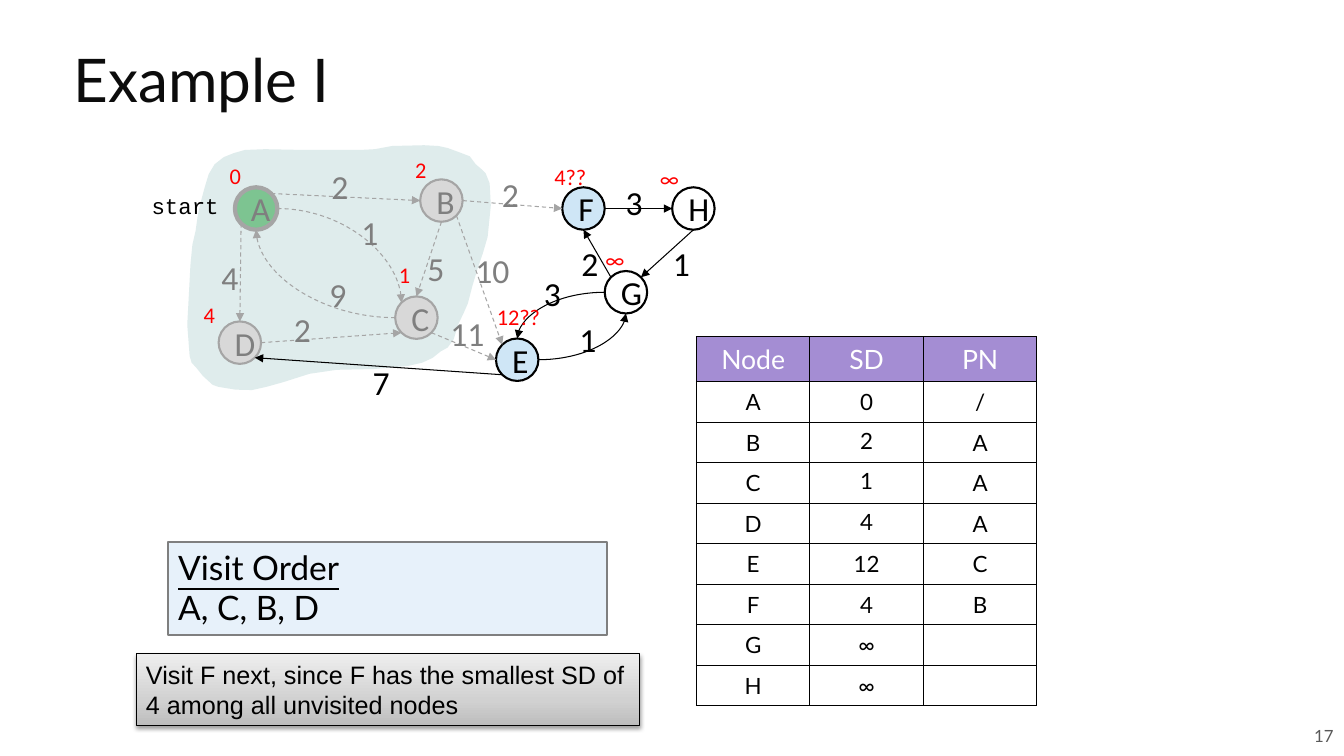
import copy
import math
from dataclasses import dataclass
from typing import Optional

import pptx
import pptx.dml.color
import pptx.enum.dml
import pptx.enum.shapes
import pptx.enum.text
import pptx.oxml.ns
import pptx.util
from lxml import etree

Cm = pptx.util.Cm
Pt = pptx.util.Pt
qn = pptx.oxml.ns.qn
ALIGN = pptx.enum.text.PP_ALIGN
ANCHOR = pptx.enum.text.MSO_ANCHOR
SHAPE = pptx.enum.shapes.MSO_SHAPE
CONNECTOR = pptx.enum.shapes.MSO_CONNECTOR

BLACK, GREY, LINE_GREY, RED = "000000", "7F7F7F", "A5A5A5", "FF0000"
DIAMETER = 1.07
TOP, TOP_LEFT, LEFT, BOTTOM_LEFT, BOTTOM, BOTTOM_RIGHT, RIGHT, TOP_RIGHT = range(8)


@dataclass
class Node:
    name: str
    x: float
    y: float
    fill: Optional[str]
    visited: bool
    distance: str
    distance_x: float
    distance_y: float
    line_width: float = 1.5


@dataclass
class Edge:
    start: str
    start_site: int
    end: str
    end_site: int
    weight: str
    weight_x: float
    weight_y: float
    dashed: bool = False
    curved: bool = False


NODES = [
    Node("A", 5.92, 4.72, "7DC491", True, "0", 5.54, 3.96, 3),
    Node("B", 10.59, 4.52, "D8D8D8", True, "2", 10.21, 3.81),
    Node("D", 5.51, 8.1, "D8D8D8", True, "4", 4.88, 7.47),
    Node("C", 9.96, 7.47, "D8D8D8", True, "1", 9.8, 6.45),
    Node("F", 14.17, 4.72, "CFE6F6", False, "4??", 13.72, 3.99),
    Node("H", 16.94, 4.72, None, False, "∞", 16.38, 4.04),
    Node("E", 12.5, 8.53, "CFE6F6", False, "12??", 12.27, 7.52),
    Node("G", 15.24, 6.83, None, False, "∞", 15.01, 6.07),
]
EDGES = [
    Edge("A", RIGHT, "C", TOP_LEFT, "1", 8.86, 5.21, True, True),
    Edge("C", LEFT, "A", BOTTOM, "9", 8.05, 6.78, True, True),
    Edge("G", LEFT, "E", TOP, "3", 13.46, 6.76, curved=True),
    Edge("E", RIGHT, "G", BOTTOM, "1", 14.35, 7.9, curved=True),
    Edge("A", BOTTOM_LEFT, "D", TOP, "4", 5.33, 6.35, True),
    Edge("D", RIGHT, "C", BOTTOM_LEFT, "2", 7.16, 7.67, True),
    Edge("A", TOP_RIGHT, "B", LEFT, "2", 8.1, 4.06, True),
    Edge("B", RIGHT, "F", LEFT, "2", 12.4, 4.27, True),
    Edge("F", RIGHT, "H", LEFT, "3", 15.52, 4.45),
    Edge("G", TOP_LEFT, "F", BOTTOM, "2", 14.4, 5.99),
    Edge("H", BOTTOM, "G", TOP_RIGHT, "1", 16.71, 5.99),
    Edge("B", BOTTOM_RIGHT, "E", TOP_LEFT, "10", 11.73, 6.17, True),
    Edge("B", BOTTOM, "C", TOP, "5", 10.52, 6.12, True),
    Edge("C", BOTTOM_RIGHT, "E", LEFT, "11", 11.1, 7.77, True),
    Edge("E", BOTTOM_LEFT, "D", BOTTOM_RIGHT, "7", 9.14, 8.99),
]
VISITED_REGION = [
    (9.07, 3.78), (7.67, 3.78), (6.68, 3.76), (6.17, 3.78), (5.89, 3.86), (5.64, 3.96),
    (5.41, 4.14), (5.26, 4.39), (5.16, 4.72), (5.05, 5.13), (4.98, 5.46), (4.93, 5.82),
    (4.85, 6.17), (4.8, 6.68), (4.78, 7.06), (4.72, 8.18), (4.78, 8.97), (4.83, 9.14),
    (4.95, 9.27), (5.11, 9.47), (5.36, 9.7), (5.51, 9.75), (5.94, 9.82), (6.35, 9.83),
    (6.71, 9.75), (7.14, 9.63), (7.8, 9.42), (8.48, 9.32), (9.42, 9.3), (10.29, 9.22),
    (10.64, 9.14), (10.9, 9.02), (11.1, 8.86), (11.28, 8.76), (11.43, 8.56), (11.56, 8.15),
    (11.68, 7.9), (11.79, 7.65), (11.91, 7.19), (12.04, 6.76), (12.17, 6.38), (12.29, 5.97),
    (12.37, 5.18), (12.34, 4.62), (12.24, 4.37), (12.14, 4.27), (11.99, 4.14), (11.84, 3.94),
    (11.58, 3.84), (11.28, 3.73), (11.05, 3.68), (10.69, 3.66), (9.88, 3.68), (9.45, 3.76),
]
TABLE_ROWS = [
    ("Node", "SD", "PN"), ("A", "0", "/"), ("B", "2", "A"), ("C", "1", "A"), ("D", "4", "A"),
    ("E", "12", "C"), ("F", "4", "B"), ("G", "∞", ""), ("H", "∞", ""),
]


def rgb(value: str) -> pptx.dml.color.RGBColor:
    return pptx.dml.color.RGBColor.from_string(value)


def box(x: float, y: float, width: float, height: float) -> tuple:
    return Cm(x), Cm(y), Cm(width), Cm(height)


def add_run(paragraph, text: str, size: float, font: str, color: str, align=ALIGN.LEFT):
    paragraph.alignment = align
    run = paragraph.add_run()
    run.text = text
    run.font.size, run.font.name = Pt(size), font
    run.font.color.rgb = rgb(color)
    return run


def style_shape(shape, fill: Optional[str], line: Optional[str], width: float = 0) -> None:
    shape.shadow.inherit = False
    if fill:
        shape.fill.solid()
        shape.fill.fore_color.rgb = rgb(fill)
    else:
        shape.fill.background()
    if line:
        shape.line.color.rgb = rgb(line)
        shape.line.width = Pt(width)
    else:
        shape.line.fill.background()


def add_text(slide, frame: tuple, text: str, size: float, font: str, color: str,
             align=ALIGN.LEFT, margin: Optional[float] = None, wrap: bool = True):
    text_frame = slide.shapes.add_textbox(*frame).text_frame
    text_frame.word_wrap = wrap
    if margin is not None:
        text_frame.margin_left = text_frame.margin_right = Cm(margin)
        text_frame.margin_top = text_frame.margin_bottom = Cm(margin)
    add_run(text_frame.paragraphs[0], text, size, font, color, align)
    return text_frame


def add_label(slide, text: str, x: float, y: float, size: float, color: str) -> None:
    frame = box(x, y, 0.51 + 0.018 * size * len(text), 0.05 * size + 0.1)
    add_text(slide, frame, text, size, "Calibri", color, wrap=False)


def add_node(slide, node: Node):
    shape = slide.shapes.add_shape(SHAPE.OVAL, *box(node.x, node.y, DIAMETER, DIAMETER))
    style_shape(shape, node.fill, LINE_GREY if node.visited else BLACK, node.line_width)
    color = GREY if node.visited else BLACK
    add_run(shape.text_frame.paragraphs[0], node.name, 24, "Calibri", color, ALIGN.CENTER)
    return shape


def site_position(shape, site: int) -> tuple:
    angle = math.radians(90 + 45 * site)
    radius = shape.width / 2
    return (round(shape.left + radius + radius * math.cos(angle)),
            round(shape.top + radius - radius * math.sin(angle)))


def add_edge(slide, edge: Edge, shapes: dict) -> None:
    ends = [(shapes[edge.start], edge.start_site), (shapes[edge.end], edge.end_site)]
    kind = CONNECTOR.CURVE if edge.curved else CONNECTOR.STRAIGHT
    connector = slide.shapes.add_connector(
        kind, *site_position(*ends[0]), *site_position(*ends[1]))
    connector.line.color.rgb = rgb(LINE_GREY if edge.dashed else BLACK)
    connector.line.width = Pt(0.75)
    if edge.dashed:
        connector.line.dash_style = pptx.enum.dml.MSO_LINE.DASH
    element = connector._element
    if edge.curved:
        element.find(".//" + qn("a:prstGeom")).set("prst", "curvedConnector2")
    joins = element.find(".//" + qn("p:cNvCxnSpPr"))
    for tag, (shape, site) in zip(("a:stCxn", "a:endCxn"), ends):
        etree.SubElement(joins, qn(tag), id=str(shape.shape_id), idx=str(site))
    etree.SubElement(element.find(".//" + qn("a:ln")), qn("a:tailEnd"), type="triangle")
    etree.SubElement(element.find(qn("p:spPr")), qn("a:effectLst"))


def add_region(slide) -> None:
    points = [(Cm(x), Cm(y)) for x, y in VISITED_REGION]
    builder = slide.shapes.build_freeform(*points[0])
    builder.add_line_segments(points[1:], close=True)
    style_shape(builder.convert_to_shape(), "DFECEC", None)


def add_cell_borders(cell) -> None:
    properties = cell._tc.get_or_add_tcPr()
    for position, side in enumerate(("a:lnL", "a:lnR", "a:lnT", "a:lnB")):
        line = etree.Element(qn(side), w=str(Pt(0.75)))
        fill = etree.SubElement(line, qn("a:solidFill"))
        etree.SubElement(fill, qn("a:srgbClr"), val=BLACK)
        properties.insert(position, line)


def add_distance_table(slide) -> None:
    frame = slide.shapes.add_table(len(TABLE_ROWS), 3, *box(17.55, 8.48, 8.58, 9.3))
    table = frame.table
    for column in table.columns:
        column.width = Cm(2.86)
    for row_index, values in enumerate(TABLE_ROWS):
        header = row_index == 0
        table.rows[row_index].height = Cm(1.14 if header else 1.02)
        for column_index, value in enumerate(values):
            cell = table.cell(row_index, column_index)
            cell.margin_left = cell.margin_right = Cm(0.18)
            cell.margin_top = cell.margin_bottom = Cm(0.13)
            raised = column_index == 1 and values[0] in "BCD"
            cell.vertical_anchor = ANCHOR.TOP if raised else ANCHOR.MIDDLE
            if header:
                cell.fill.solid()
                cell.fill.fore_color.rgb = rgb("A48DD3")
            else:
                cell.fill.background()
            add_cell_borders(cell)
            if value:
                add_run(cell.text_frame.paragraphs[0], value, 19 if header else 16, "Lato",
                        "FFFFFF" if header else BLACK, ALIGN.CENTER)


def add_panel(slide, frame: tuple, fill: Optional[str], line: str, width: float):
    shape = slide.shapes.add_shape(SHAPE.RECTANGLE, *frame)
    style_shape(shape, fill, line, width)
    shape.text_frame.word_wrap = True
    shape.text_frame.vertical_anchor = ANCHOR.TOP
    return shape


def add_visit_order(slide) -> None:
    panel = add_panel(slide, box(4.24, 13.66, 11.07, 2.34), "E7F1FA", GREY, 1.5)
    heading = add_run(panel.text_frame.paragraphs[0], "Visit Order", 24, "Lato", BLACK)
    heading.font.underline = True
    add_run(panel.text_frame.add_paragraph(), "A, C, B, D", 24, "Lato", BLACK)


def add_next_step(slide) -> None:
    panel = add_panel(slide, box(3.43, 16.48, 12.68, 1.8), None, BLACK, 0.75)
    panel.fill.gradient()
    panel.fill.gradient_angle = 90
    stops = panel._element.find(".//" + qn("a:gsLst"))
    stops.append(copy.deepcopy(stops[0]))
    colors = [(0, "BDBDBD"), (0.35, "D1D1D1"), (1, "EEEEEE")]
    for stop, (position, color) in zip(panel.fill.gradient_stops, colors):
        stop.position = position
        stop.color.rgb = rgb(color)
    effects = panel._element.find(".//" + qn("a:effectLst"))
    shadow = etree.SubElement(effects, qn("a:outerShdw"), blurRad=str(Pt(3.1)),
                              dist=str(Pt(1.6)), dir="5400000", rotWithShape="0")
    color = etree.SubElement(shadow, qn("a:srgbClr"), val=BLACK)
    etree.SubElement(color, qn("a:alpha"), val="38000")
    text = "Visit F next, since F has the smallest SD of 4 among all unvisited nodes"
    add_run(panel.text_frame.paragraphs[0], text, 18, "Arial", BLACK)


def add_title(slide) -> None:
    title = slide.shapes.title
    title.left, title.top, title.width, title.height = box(1.6, 0.74, 31.06, 2.82)
    title.text_frame.vertical_anchor = ANCHOR.MIDDLE
    title.text_frame.auto_size = pptx.enum.text.MSO_AUTO_SIZE.NONE
    paragraph = title.text_frame.paragraphs[0]
    paragraph.line_spacing = 0.8
    add_run(paragraph, "Example I", 43, "Lato", "0C0C0C")


def main() -> None:
    presentation = pptx.Presentation()
    presentation.slide_width, presentation.slide_height = Cm(33.87), Cm(19.05)
    slide = presentation.slides.add_slide(presentation.slide_layouts[5])
    number = add_text(slide, box(21.97, 18.03, 11.89, 1.02), "17", 12, "Lato", "595959",
                      ALIGN.RIGHT, 0.25)
    number.vertical_anchor = ANCHOR.MIDDLE
    add_region(slide)
    add_title(slide)
    shapes = {node.name: add_node(slide, node) for node in NODES}
    for edge in EDGES:
        add_edge(slide, edge, shapes)
    for edge in EDGES:
        color = GREY if edge.dashed else BLACK
        add_label(slide, edge.weight, edge.weight_x, edge.weight_y, 24, color)
    for node in NODES:
        add_label(slide, node.distance, node.distance_x, node.distance_y, 16, RED)
    add_text(slide, box(3.15, 4.52, 2.69, 1.32), "start", 16, "Courier New", BLACK,
             ALIGN.RIGHT, 0.33)
    add_distance_table(slide)
    add_visit_order(slide)
    add_next_step(slide)
    presentation.save("out.pptx")


if __name__ == "__main__":
    main()
